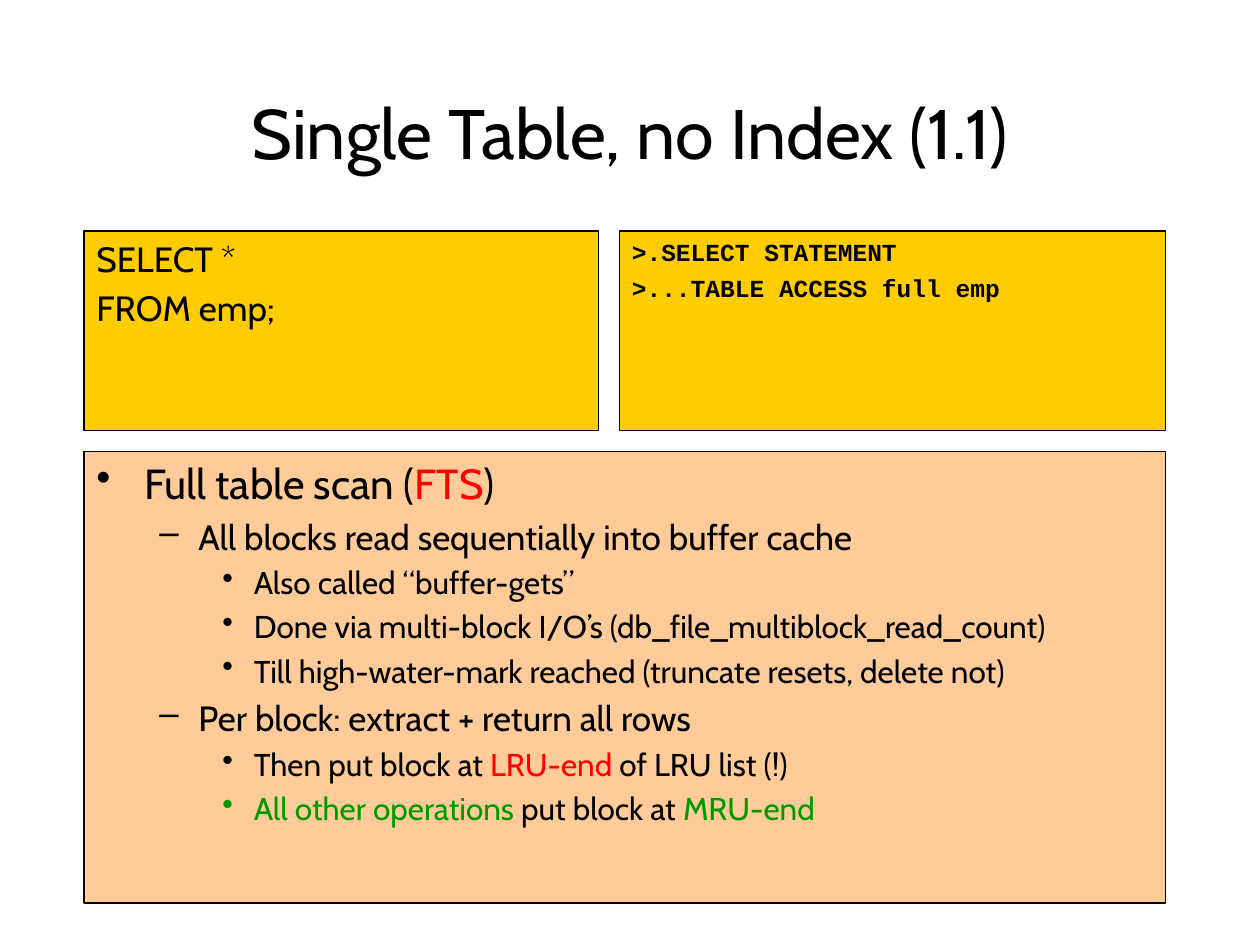
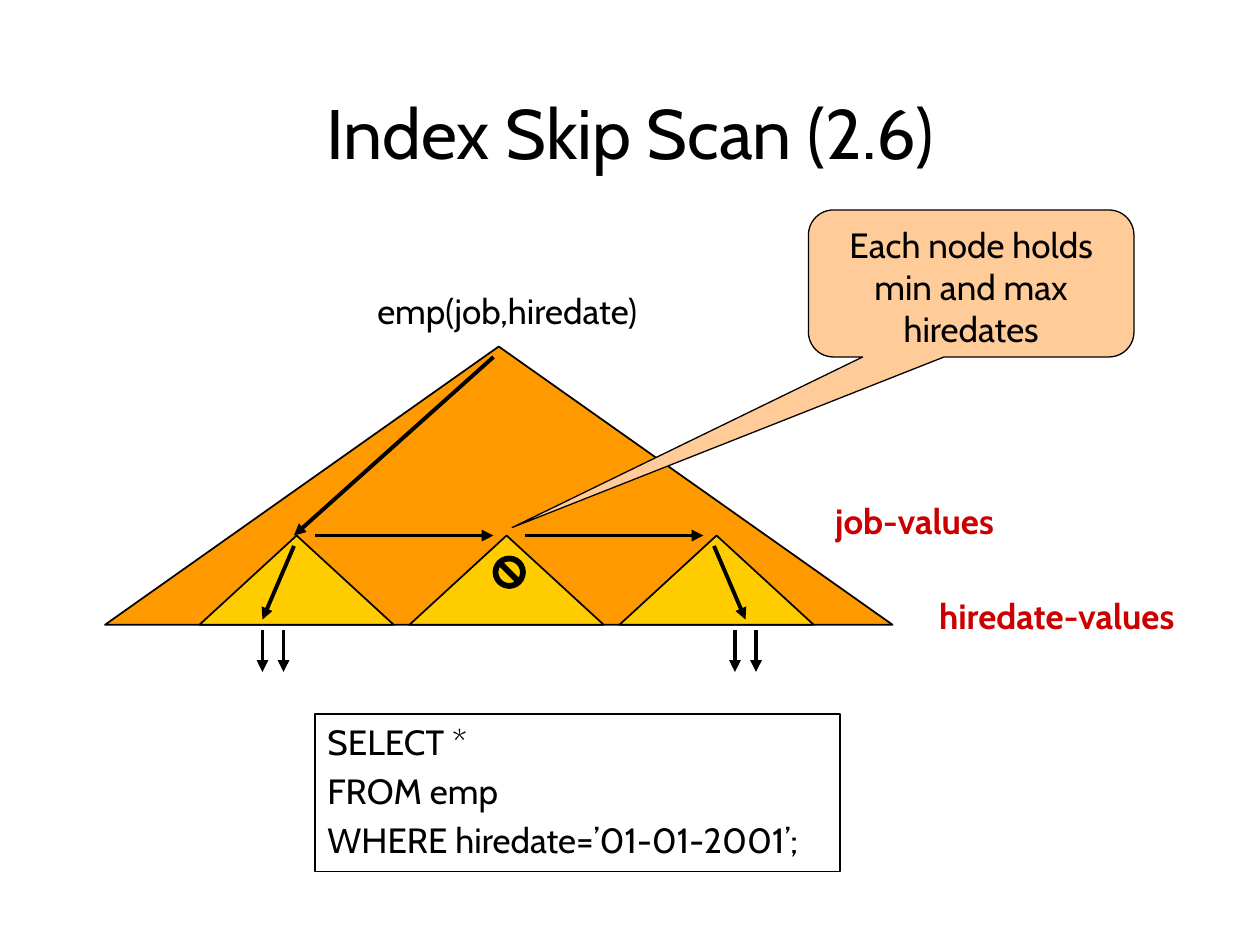
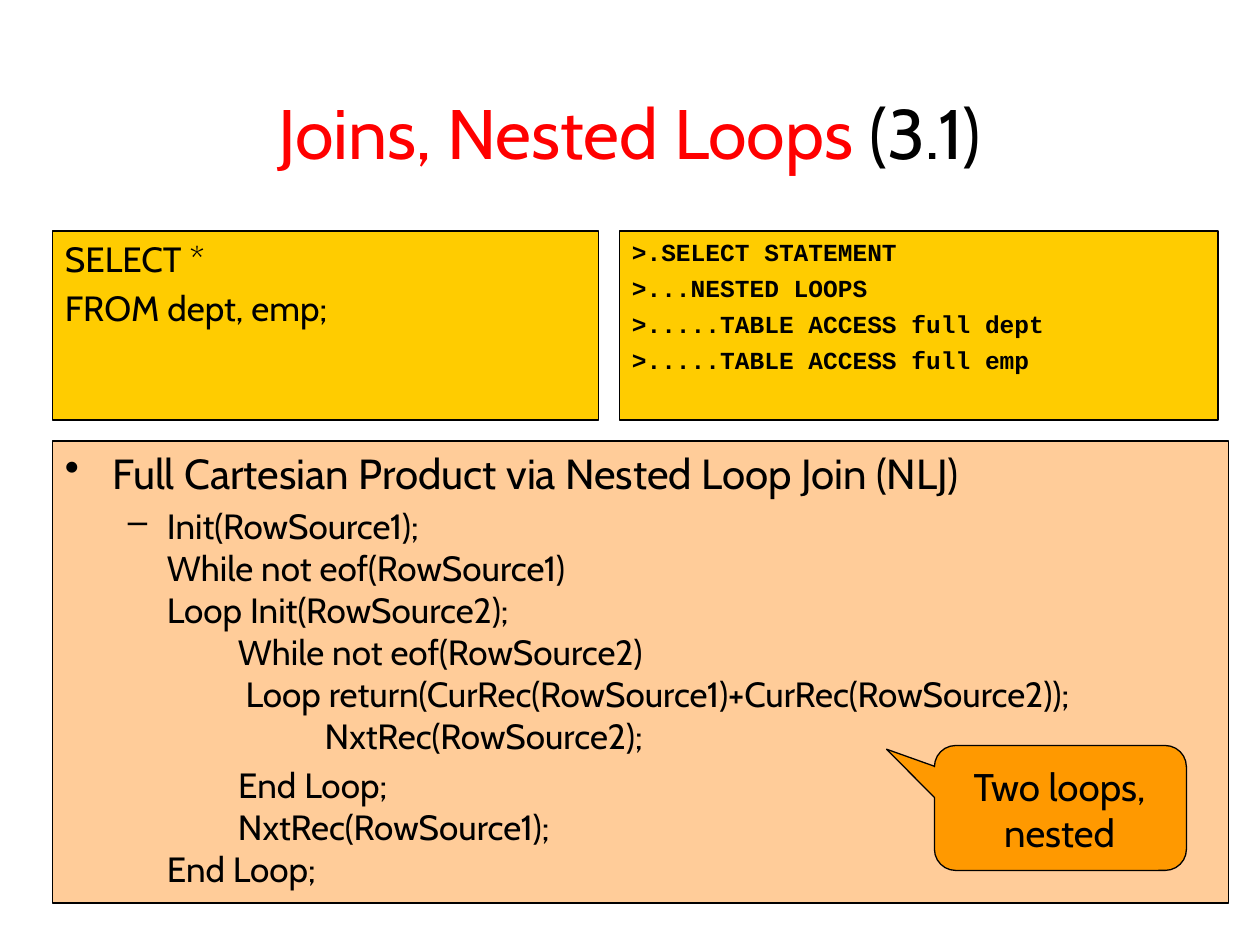
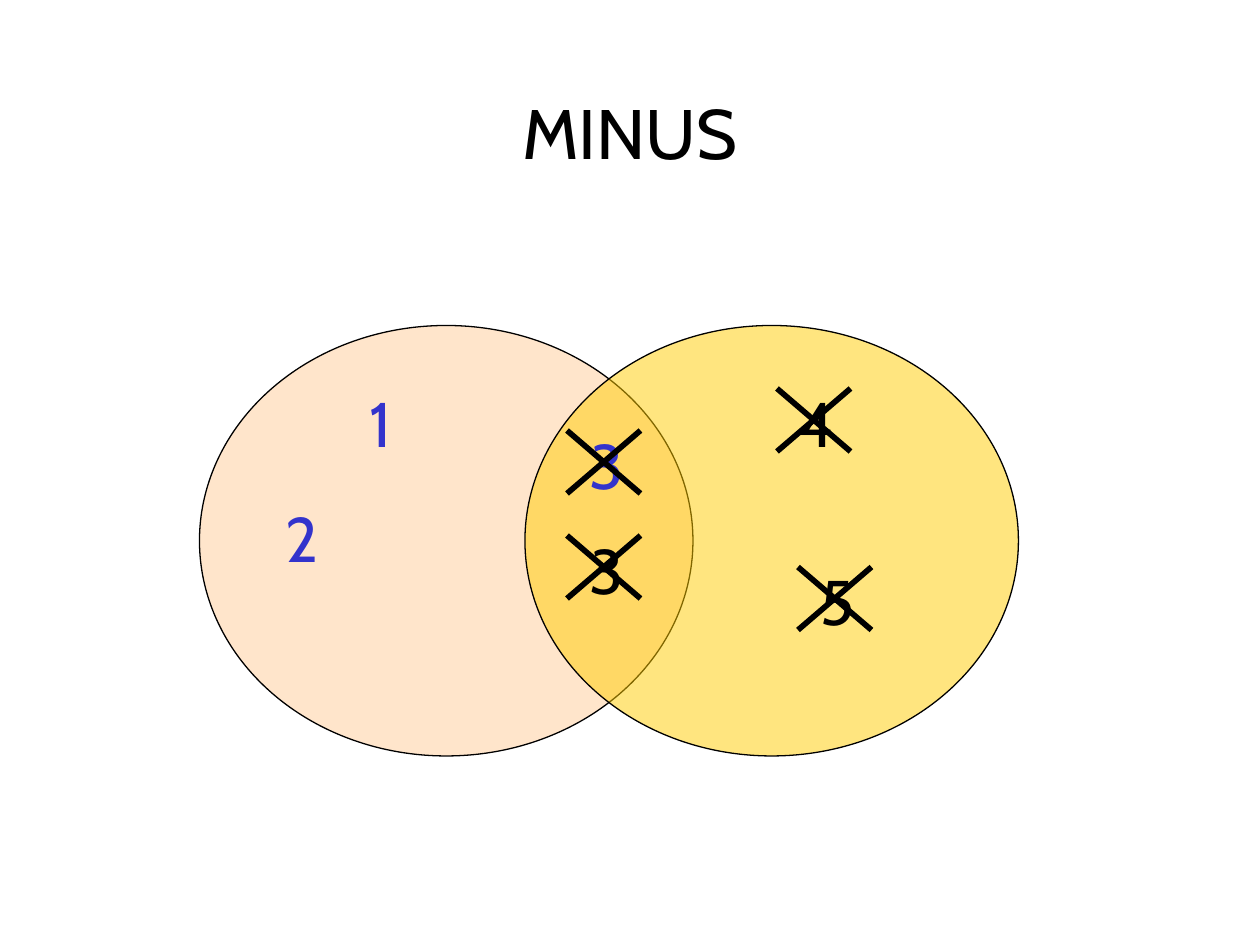
from dataclasses import dataclass
from typing import NamedTuple, Optional

from lxml.etree import SubElement
from pptx import Presentation
from pptx.dml.color import RGBColor
from pptx.enum.shapes import MSO_CONNECTOR, MSO_SHAPE
from pptx.enum.text import MSO_ANCHOR, MSO_AUTO_SIZE, PP_ALIGN
from pptx.oxml.ns import qn
from pptx.util import Inches, Pt

COLUMNS, ROWS = 120, 90
PAGE_WIDTH, PAGE_HEIGHT = Inches(10), Inches(7.5)
BLACK, RED, DARK_RED = "000000", "FF0000", "CC0000"
GREEN, BLUE = "009900", "3333CC"
YELLOW, ORANGE, PEACH = "FFCC00", "FF9900", "FFCC99"


class Area(NamedTuple):
    column: float
    row: float
    columns: float
    rows: float


class Span(NamedTuple):
    text: str
    colour: str = BLACK


@dataclass(frozen=True)
class Style:
    size: float
    font: str = "Cabin"
    bold: bool = False
    align: PP_ALIGN = PP_ALIGN.LEFT
    before: float = 0
    margin: float = 0
    hang: float = 0
    bullet: str = ""


class Para(NamedTuple):
    style: Style
    spans: tuple[Span, ...]


@dataclass(frozen=True)
class Box:
    area: Area
    fill: Optional[str] = None
    line: float = 0.75
    kind: MSO_SHAPE = MSO_SHAPE.RECTANGLE
    adjustments: tuple[float, ...] = ()
    alpha: int = 100
    wrap: bool = True


TITLE_AREA = Area(9, 8, 102, 9)
TITLE = Style(40, align=PP_ALIGN.CENTER)
QUERY = Style(20, before=4, margin=0.38, hang=0.38)
PLAN = Style(14, "Courier New", True, before=3.7, margin=0.38, hang=0.38)
TOPIC = Style(24, before=4.8, margin=0.38, hang=0.38, bullet="•")
POINT = Style(20, before=4, margin=0.81, hang=0.31, bullet="–")
POINT_MORE = Style(20, before=4, margin=0.81, hang=0.31)
DETAIL = Style(18, before=3.6, margin=1.25, hang=0.25, bullet="•")
CAPTION = Style(20, align=PP_ALIGN.CENTER)
VALUE_LABEL = Style(20, bold=True, align=PP_ALIGN.CENTER)
CALLOUT = Style(22, align=PP_ALIGN.CENTER)
DIGIT = Style(36)


def colour(code: str) -> RGBColor:
    return RGBColor.from_string(code)


def across(columns: float) -> int:
    return round(PAGE_WIDTH * columns / COLUMNS)


def down(rows: float) -> int:
    return round(PAGE_HEIGHT * rows / ROWS)


def place(area: Area) -> tuple[int, int, int, int]:
    return across(area.column), down(area.row), across(area.columns), down(area.rows)


def lines(style: Style, *texts: str) -> list[Para]:
    return [Para(style, (Span(text),)) for text in texts]


def write(frame, paras: list[Para]) -> None:
    for index, (style, spans) in enumerate(paras):
        para = frame.paragraphs[0] if index == 0 else frame.add_paragraph()
        properties = para._p.get_or_add_pPr()
        if style.margin:
            properties.set("marL", str(Inches(style.margin)))
            properties.set("indent", str(-Inches(style.hang)))
        if style.bullet:
            SubElement(properties, qn("a:buChar"), char=style.bullet)
        settings = {"alignment": style.align, "space_before": Pt(style.before if index else 0)}
        for name, value in settings.items():
            setattr(para, name, value)
        for span in spans:
            for number, text in enumerate(span.text.split("\n")):
                if number:
                    para.add_line_break()
                run = para.add_run()
                run.text = text
                font = {"name": style.font, "size": Pt(style.size), "bold": style.bold}
                for name, value in font.items():
                    setattr(run.font, name, value)
                run.font.color.rgb = colour(span.colour)


def draw_box(page, box: Box, paras: Optional[list[Para]] = None) -> None:
    if box.fill or box.line:
        shape = page.shapes.add_shape(box.kind, *place(box.area))
        shape.shadow.inherit = False
    else:
        shape = page.shapes.add_textbox(*place(box.area))
    for index, value in enumerate(box.adjustments):
        shape.adjustments[index] = value
    if box.fill:
        shape.fill.solid()
        shape.fill.fore_color.rgb = colour(box.fill)
        if box.alpha < 100:
            shade = shape._element.spPr.find(qn("a:solidFill")).find(qn("a:srgbClr"))
            SubElement(shade, qn("a:alpha"), val=str(box.alpha * 1000))
    else:
        shape.fill.background()
    if box.line:
        shape.line.color.rgb = colour(BLACK)
        shape.line.width = Pt(box.line)
    else:
        shape.line.fill.background()
    if paras:
        settings = {"word_wrap": box.wrap, "vertical_anchor": MSO_ANCHOR.TOP,
                    "auto_size": MSO_AUTO_SIZE.NONE}
        for name, value in settings.items():
            setattr(shape.text_frame, name, value)
        write(shape.text_frame, paras)


def draw_label(page, area: Area, style: Style, text: str, shade: str = BLACK) -> None:
    draw_box(page, Box(area, line=0, wrap=False), [Para(style, (Span(text, shade),))])


def draw_line(page, start: tuple[float, float], end: tuple[float, float],
              width: float = 2.25, arrow: bool = True) -> None:
    line = page.shapes.add_connector(MSO_CONNECTOR.STRAIGHT, across(start[0]), down(start[1]),
                                     across(end[0]), down(end[1]))
    line.line.color.rgb = colour(BLACK)
    line.line.width = Pt(width)
    if arrow:
        SubElement(line.line._get_or_add_ln(), qn("a:tailEnd"), type="triangle")
    SubElement(line._element.spPr, qn("a:effectLst"))


def add_page(deck, *title: Span):
    page = deck.slides.add_slide(deck.slide_layouts[5])
    holder = page.shapes.title
    for name, value in zip(("left", "top", "width", "height"), place(TITLE_AREA)):
        setattr(holder, name, value)
    settings = {"word_wrap": True, "vertical_anchor": MSO_ANCHOR.MIDDLE,
                "auto_size": MSO_AUTO_SIZE.NONE}
    for name, value in settings.items():
        setattr(holder.text_frame, name, value)
    write(holder.text_frame, [Para(TITLE, title)])
    return page


def draw_statement(page, left: float, right: float, rows: float,
                   query: list[str], plan: list[str]) -> None:
    top, middle, gap = 22, 59, 2
    draw_box(page, Box(Area(middle, top, right - middle, rows), YELLOW), lines(PLAN, *plan))
    draw_box(page, Box(Area(left, top, middle - gap - left, rows), YELLOW), lines(QUERY, *query))


def build_full_scan(deck) -> None:
    page = add_page(deck, Span("Single Table, no Index (1.1)"))
    draw_box(page, Box(Area(8, 43, 103, 43), PEACH), [
        Para(TOPIC, (Span("Full table scan ("), Span("FTS", RED), Span(")"))),
        *lines(POINT, "All blocks read sequentially into buffer cache"),
        *lines(DETAIL, "Also called “buffer-gets”",
               "Done via multi-block I/O’s (db_file_multiblock_read_count)",
               "Till high-water-mark reached (truncate resets, delete not)"),
        *lines(POINT, "Per block: extract + return all rows"),
        Para(DETAIL, (Span("Then put block at "), Span("LRU-end", RED),
                      Span(" of LRU list (!)"))),
        Para(DETAIL, (Span("All other operations", GREEN), Span(" put block at "),
                      Span("MRU-end", GREEN))),
    ])
    draw_statement(page, 8, 111, 19, ["SELECT *", "FROM emp;"],
                   [">.SELECT STATEMENT", ">...TABLE ACCESS full emp"])


def build_skip_scan(deck) -> None:
    page = add_page(deck, Span("Index Skip Scan (2.6)"))
    triangle = MSO_SHAPE.FLOWCHART_EXTRACT
    draw_box(page, Box(Area(10, 33, 75, 26.5), ORANGE, 1, triangle))
    for node in range(3):
        draw_box(page, Box(Area(19 + 20 * node, 51, 18.5, 8.5), YELLOW, 1, triangle))
    for start, end in (((30, 51), (47, 51)), ((50, 51), (67, 51)), ((47, 34), (28, 51)),
                       ((28, 52), (25, 59)), ((68, 52), (71, 59))):
        draw_line(page, start, end)
    draw_box(page, Box(Area(47, 53, 3, 3), BLACK, 1, MSO_SHAPE.NO_SYMBOL, (0.13,)))
    draw_label(page, Area(33, 27, 30.6, 5.2), CAPTION, "emp(job,hiredate)")
    draw_label(page, Area(77, 47, 20.2, 5.2), VALUE_LABEL, "job-values", DARK_RED)
    draw_label(page, Area(86, 56, 29.3, 5.2), VALUE_LABEL, "hiredate-values", DARK_RED)
    draw_box(page, Box(Area(30, 68, 50, 15), line=1),
             lines(QUERY, "SELECT *", "FROM emp", "WHERE hiredate=’01-01-2001’;"))
    draw_box(page, Box(Area(77, 20, 31, 14), PEACH, kind=MSO_SHAPE.ROUNDED_RECTANGULAR_CALLOUT,
                       adjustments=(-1.41, 1.66, 0.17)),
             lines(CAPTION, "Each node holds min and max", "hiredates"))
    for column in (25, 27, 70, 72):
        draw_line(page, (column, 60), (column, 64))


def build_nested_loops(deck) -> None:
    page = add_page(deck, Span("Joins, Nested Loops ", RED), Span("(3.1)"))
    outer_loop = """Init(RowSource1);
While not eof(RowSource1)
Loop Init(RowSource2);
         While not eof(RowSource2)
          Loop return(CurRec(RowSource1)+CurRec(RowSource2));
                    NxtRec(RowSource2);"""
    loop_ends = """              End Loop;
         NxtRec(RowSource1);
End Loop;"""
    draw_box(page, Box(Area(5, 42, 112, 44), PEACH), [
        *lines(TOPIC, "Full Cartesian Product via Nested Loop Join (NLJ)"),
        *lines(POINT, outer_loop),
        *lines(POINT_MORE, loop_ends),
    ])
    draw_statement(page, 5, 116, 18, ["SELECT *", "FROM dept, emp;"],
                   [">.SELECT STATEMENT", ">...NESTED LOOPS",
                    ">.....TABLE ACCESS full dept", ">.....TABLE ACCESS full emp"])
    draw_box(page, Box(Area(89, 71, 24, 11.9), ORANGE,
                       kind=MSO_SHAPE.ROUNDED_RECTANGULAR_CALLOUT,
                       adjustments=(-0.69, -0.47, 0.17)))
    draw_box(page, Box(Area(90.4, 72.1, 21, 10), ORANGE, line=0, wrap=False),
             lines(CALLOUT, "Two loops,", "nested"))


def build_minus(deck) -> None:
    page = add_page(deck, Span("MINUS"))
    for column, fill in ((19, PEACH), (50, YELLOW)):
        draw_box(page, Box(Area(column, 31, 47, 41), fill, kind=MSO_SHAPE.OVAL, alpha=50))
    kept = (("2", 26, 47, BLUE), ("1", 34, 36, BLUE))
    removed = (("3", 55, 50, BLACK), ("3", 55, 40, BLUE),
               ("5", 77, 53, BLACK), ("4", 75, 36, BLACK))
    for text, column, row, shade in removed + kept:
        draw_label(page, Area(column, row, 5.8, 8.4), DIGIT, text, shade)
    for _, column, row, _ in removed:
        left, top, right, bottom = column - 1, row + 1, column + 6, row + 7
        draw_line(page, (left, top), (right, bottom), 3.25, False)
        draw_line(page, (right, top), (left, bottom), 3.25, False)


def main() -> None:
    deck = Presentation()
    deck.slide_width, deck.slide_height = PAGE_WIDTH, PAGE_HEIGHT
    for build in (build_full_scan, build_skip_scan, build_nested_loops, build_minus):
        build(deck)
    deck.save("out.pptx")


if __name__ == "__main__":
    main()
